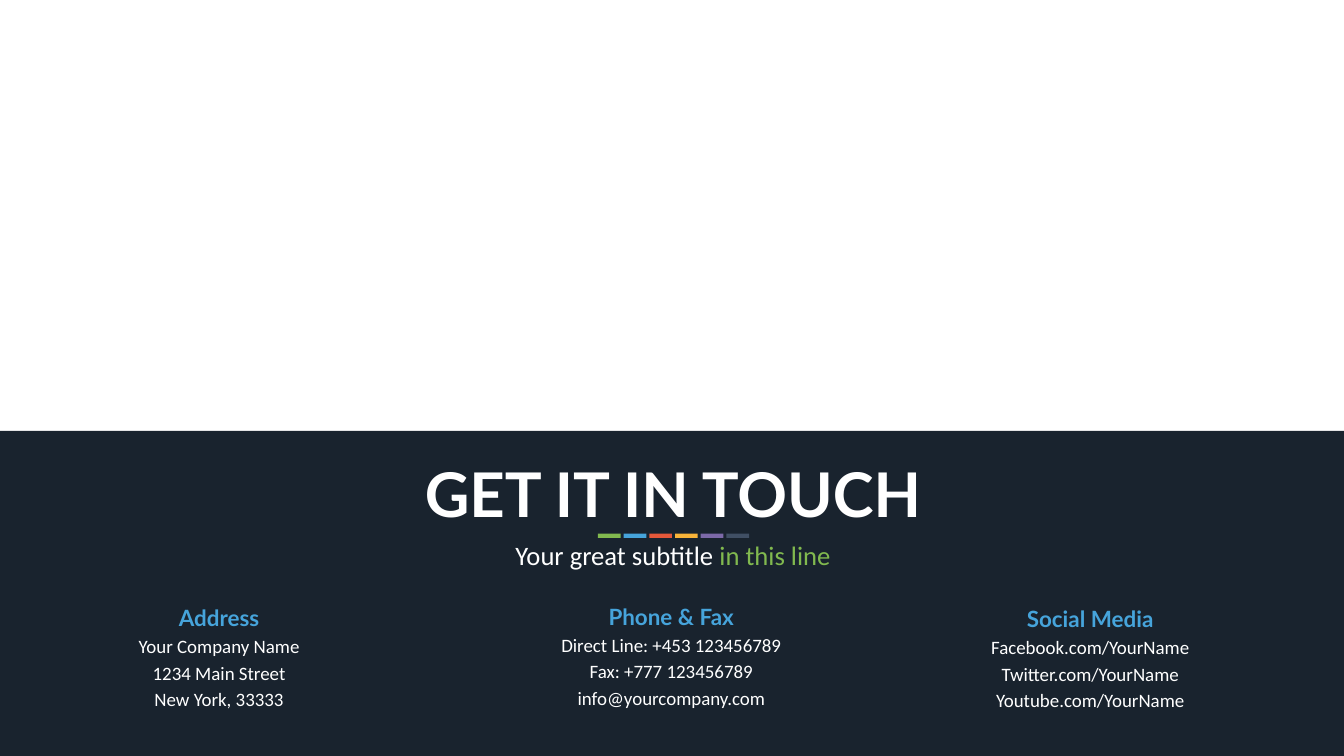
from pptx import Presentation
from pptx.dml.color import RGBColor
from pptx.enum.shapes import MSO_SHAPE
from pptx.enum.text import PP_ALIGN
from pptx.util import Inches, Pt

COLORS = {
    "navy": "19232E",
    "white": "FFFFFF",
    "green": "81B94F",
    "blue": "46A4DB",
    "red": "E5583A",
    "yellow": "F9B439",
    "purple": "7C69A8",
    "slate": "404F64",
}
STRIPES = ["green", "blue", "red", "yellow", "purple", "slate"]
CONTACTS = [
    (0.99, 3.31, "Address",
     ["Your Company Name", "1234 Main Street", "New York, 33333"]),
    (9.96, 3.28, "Phone & Fax",
     ["Direct Line: +453 123456789", "Fax: +777 123456789", "info@yourcompany.com"]),
    (18.27, 3.33, "Social Media",
     ["Facebook.com/YourName", "Twitter.com/YourName", "Youtube.com/YourName"]),
]


def add_rect(s, x, y, w, h, color):
    """Add a plain filled rectangle."""
    sp = s.shapes.add_shape(MSO_SHAPE.RECTANGLE, Inches(x), Inches(y), Inches(w), Inches(h))
    sp.shadow.inherit = False
    sp.fill.solid()
    sp.fill.fore_color.rgb = RGBColor.from_string(COLORS[color])
    sp.line.fill.background()


def add_text(s, x, y, w, h, paragraphs, inset=(0.1, 0.05)):
    """Add a centred text box from paragraphs of (text, size, font, color, bold) runs."""
    tf = s.shapes.add_textbox(Inches(x), Inches(y), Inches(w), Inches(h)).text_frame
    tf.word_wrap = True
    tf.margin_left = tf.margin_right = Inches(inset[0])
    tf.margin_top = tf.margin_bottom = Inches(inset[1])
    for i, runs in enumerate(paragraphs):
        p = tf.add_paragraph() if i else tf.paragraphs[0]
        p.alignment = PP_ALIGN.CENTER
        if i:
            p.space_before = Pt(runs[0][1] * 0.2)
        for text, size, font, color, bold in runs:
            r = p.add_run()
            r.text = text
            r.font.size = Pt(size)
            r.font.name = font
            r.font.bold = bold
            r.font.color.rgb = RGBColor.from_string(COLORS[color])


def add_stripes(s, x, y, w, h):
    """Add the row of coloured dashes, evenly spread over the box."""
    dash = 0.45
    step = (w - dash) / (len(STRIPES) - 1)
    for i, color in enumerate(STRIPES):
        add_rect(s, x + i * step, y, dash, h, color)


def add_heading(s, x, y, w, h):
    """Add the title, the dashes and the subtitle."""
    add_text(s, x, y, w, 1.58, [[("GET IT IN TOUCH", 88, "Lato", "white", True)]])
    add_stripes(s, x + 9.96, y + 1.6, 3, 0.08)
    add_text(s, x, y + h - 0.74, w, 0.74, [[
        ("Your great subtitle ", 38, "Calibri", "white", False),
        ("in this line", 38, "Calibri", "green", False),
    ]])


def add_contact(s, x, y, w, h, title, lines):
    """Add one contact column."""
    paragraphs = [[(title, 32, "Lato", "blue", True)]]
    paragraphs += [[(line, 27, "Calibri", "white", False)] for line in lines]
    add_text(s, x, y, w, h, paragraphs, inset=(0.27, 0.13))


def add_contact_panel(s, x, y, w, h):
    """Add the dark panel with its heading and contact columns."""
    add_rect(s, x, y, w, h, "navy")
    for dx, dy, title, lines in CONTACTS:
        add_contact(s, x + dx, y + dy, 6.71, 3.01, title, lines)
    add_heading(s, x + 1.9, y + 0.44, 22.9, 2.4)


def main():
    """Build and save the contact slide."""
    prs = Presentation()
    prs.slide_width = Inches(26.66)
    prs.slide_height = Inches(15)
    s = prs.slides.add_slide(prs.slide_layouts[6])
    add_contact_panel(s, 0, 8.55, 26.66, 6.45)
    prs.save("out.pptx")


if __name__ == "__main__":
    main()
